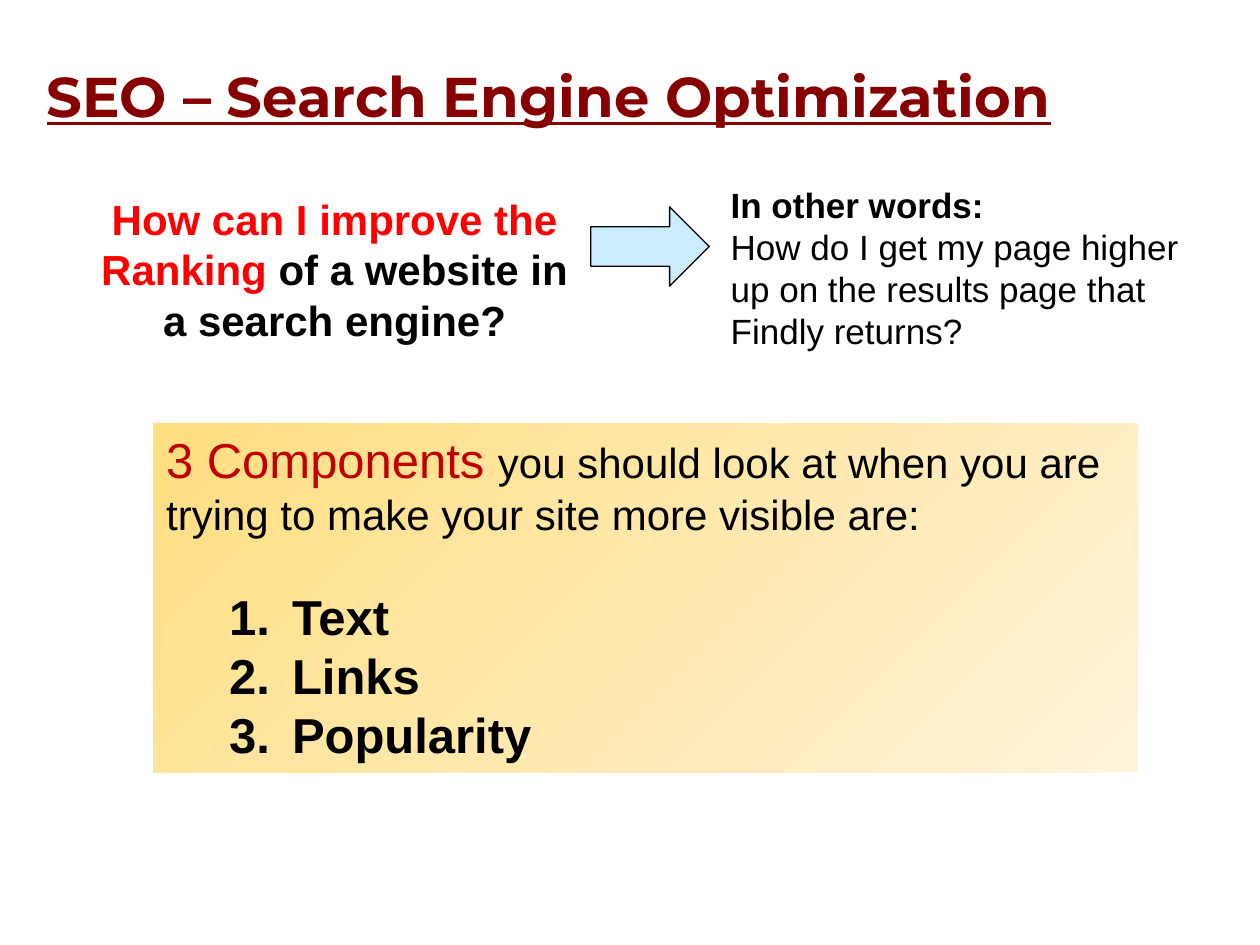
import pptx
import pptx.util
import pptx.dml.color
import pptx.enum.shapes
import pptx.enum.text
from lxml import etree

Cm, Pt = pptx.util.Cm, pptx.util.Pt
SHAPE = pptx.enum.shapes.MSO_SHAPE
ALIGN = pptx.enum.text.PP_ALIGN
ANCHOR = pptx.enum.text.MSO_ANCHOR

COLORS = {
    "maroon": "860000", "red": "FF0000", "crimson": "C00000", "black": "000000",
    "sky": "CCECFF", "cream": "FFF3DA", "gold": "FFDE80",
}

# A paragraph is a list of (text, format) runs.
HEADING = [[("SEO – Search Engine Optimization",
             dict(size=32, name="Montserrat", color="maroon", bold=True, underline=True))]]
QUESTION = [[("How can I improve the Ranking", dict(size=24, color="red", bold=True)),
             (" of a website in a search engine?", dict(size=24, bold=True))]]
REWORDING = [[("In other words:\v", dict(size=20, bold=True)),
              ("How do I get my page higher up on the results page that Findly returns?",
               dict(size=20))]]
INTRO = [("3 Components ", dict(size=28, color="crimson")),
         ("you should look at when you are trying to make your site more visible are:",
          dict(size=24))]
COMPONENTS = ["Text", "Links", "Popularity"]

# left, top, width, height in cm
BOXES = {
    "heading": (0.69, 1.12, 22.6, 1.63),
    "question": (1.78, 4.17, 9.93, 2.51),
    "rewording": (14.48, 3.58, 10.11, 3.66),
    "components": (3.1, 8.53, 19.84, 7.04),
    "arrow": (11.91, 4.17, 2.39, 1.6),
}


def rgb(name):
    return pptx.dml.color.RGBColor.from_string(COLORS[name])


def box(name):
    return [Cm(v) for v in BOXES[name]]


def write(tf, paragraphs, align=ALIGN.LEFT, anchor=ANCHOR.TOP):
    tf.word_wrap = True
    tf.vertical_anchor = anchor
    for i, runs in enumerate(paragraphs):
        p = tf.paragraphs[0] if i == 0 else tf.add_paragraph()
        p.alignment = align
        for text, changes in runs:
            # A vertical tab becomes a line break after the run.
            r = p.add_run()
            r.text = text.rstrip("\v")
            if text.endswith("\v"):
                p.add_line_break()
            values = {"name": "Arial", "color": "black", "bold": False, **changes}
            r.font.color.rgb = rgb(values.pop("color"))
            values["size"] = Pt(values["size"])
            for key, value in values.items():
                setattr(r.font, key, value)


def number(p):
    """Turn a paragraph into a numbered item with a hanging indent."""
    pPr = p._p.get_or_add_pPr()
    pPr.set("marL", str(Cm(2.54)))
    pPr.set("indent", str(-Cm(1.27)))
    ns = pptx.oxml.ns.qn
    etree.SubElement(pPr, ns("a:buFont"), typeface="+mj-lt")
    etree.SubElement(pPr, ns("a:buAutoNum"), type="arabicPeriod")


prs = pptx.Presentation()
prs.slide_width, prs.slide_height = Cm(25.4), Cm(19.05)
s = prs.slides.add_slide(prs.slide_layouts[6])

for name, paragraphs, align, anchor in [
    ("question", QUESTION, ALIGN.CENTER, ANCHOR.MIDDLE),
    ("heading", HEADING, ALIGN.LEFT, ANCHOR.TOP),
    ("rewording", REWORDING, ALIGN.LEFT, ANCHOR.TOP),
]:
    write(s.shapes.add_textbox(*box(name)).text_frame, paragraphs, align, anchor)

panel = s.shapes.add_shape(SHAPE.RECTANGLE, *box("components"))
panel.shadow.inherit = False
panel.line.fill.background()
panel.fill.gradient()
panel.fill.gradient_angle = 135
for stop, color in zip(panel.fill.gradient_stops, ("cream", "gold")):
    stop.color.rgb = rgb(color)
items = [[(text, dict(size=28, bold=True))] for text in COMPONENTS]
write(panel.text_frame, [INTRO] + items)
for p in panel.text_frame.paragraphs[1:]:
    number(p)
panel.text_frame.paragraphs[1].space_before = Pt(27.5)

arrow = s.shapes.add_shape(SHAPE.RIGHT_ARROW, *box("arrow"))
arrow.shadow.inherit = False
arrow.fill.solid()
arrow.fill.fore_color.rgb = rgb("sky")
arrow.line.color.rgb = rgb("black")
arrow.line.width = Pt(0.75)

prs.save("out.pptx")
